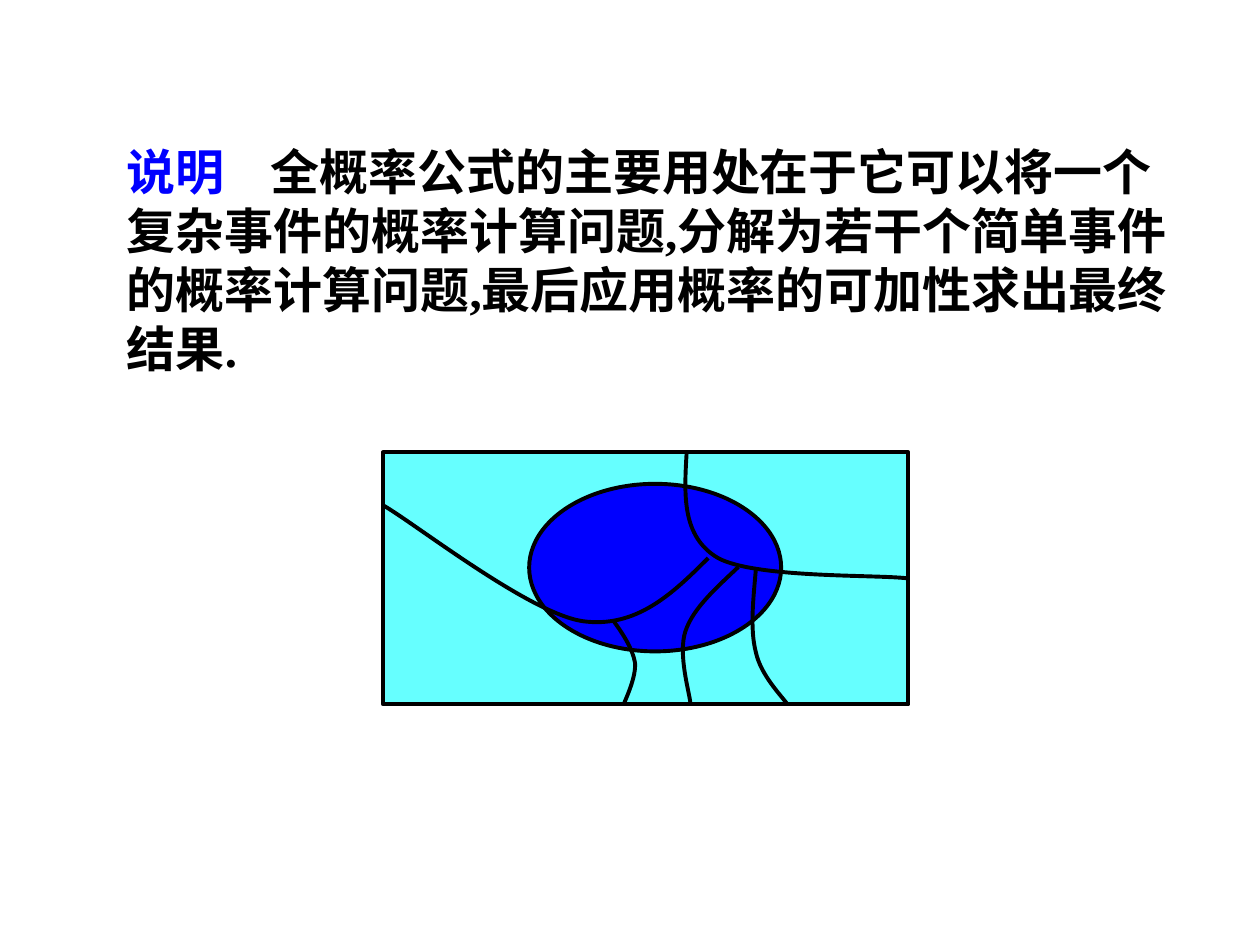
from pptx import Presentation
from pptx.dml.color import RGBColor
from pptx.enum.shapes import MSO_SHAPE as Preset
from pptx.oxml.ns import qn
from pptx.util import Inches, Pt
from lxml.etree import SubElement

BLACK = RGBColor(0, 0, 0)
BLUE = RGBColor(0, 0, 255)
CYAN = RGBColor(0x66, 0xFF, 0xFF)
LATIN, CHINESE = "Times New Roman", "Noto Sans CJK SC"

REMARK = [
    ("说明\t", LATIN, BLUE),
    ("全概率公式的主要用处在于它可以将一个复杂事件的概率计算问题", CHINESE, BLACK),
    (",", LATIN, BLACK),
    ("分解为若干个简单事件的概率计算问题", CHINESE, BLACK),
    (",", LATIN, BLACK),
    ("最后应用概率的可加性求出最终结果", CHINESE, BLACK),
    (".", LATIN, BLACK),
]

# Partition curves, relative to the sample space: a start, then Bezier triples
PARTITION_CURVES = [
    [(2.41, 0), (2.39, 0.34), (2.37, 0.67), (2.66, 0.84),
     (2.96, 1), (3.91, 0.97), (4.16, 1)],
    [(2.58, 0.84), (2.3, 1.12), (2.01, 1.4), (1.58, 1.34),
     (1.15, 1.27), (0.26, 0.57), (0, 0.42)],
    [(1.83, 1.34), (1.91, 1.45), (1.98, 1.56), (2, 1.67),
     (2.01, 1.78), (1.93, 1.95), (1.91, 2)],
    [(2.96, 0.92), (2.94, 1.16), (2.91, 1.4), (2.96, 1.59),
     (3, 1.77), (3.16, 1.93), (3.21, 2)],
    [(2.82, 0.91), (2.64, 1.08), (2.46, 1.24), (2.4, 1.42),
     (2.34, 1.6), (2.43, 1.9), (2.44, 1.99)],
]


def add_remark(slide, left, top, width, height):
    box = slide.shapes.add_textbox(*map(Inches, (left, top, width, height)))
    box.text_frame.word_wrap = True
    paragraph = box.text_frame.paragraphs[0]
    paragraph.line_spacing = Pt(33.7)

    # Tab stop between the heading word and the remark
    properties = paragraph._p.get_or_add_pPr()
    tabs = SubElement(properties, qn("a:tabLst"))
    SubElement(tabs, qn("a:tab"), pos=str(Inches(1.14)), algn="l")

    for text, font_name, color in REMARK:
        run = paragraph.add_run()
        run.text = text
        formats = {"name": font_name, "size": Pt(28), "bold": True}
        for name, value in formats.items():
            setattr(run.font, name, value)
        run.font.color.rgb = color
        # East Asian glyphs take their own typeface
        SubElement(run.font._element, qn("a:ea"), typeface=CHINESE)


def style_shape(shape, fill=None):
    shape.shadow.inherit = False
    if fill is None:
        shape.fill.background()
    else:
        shape.fill.solid()
        shape.fill.fore_color.rgb = fill
    shape.line.color.rgb = BLACK
    shape.line.width = Pt(2.25)


def add_curve(shapes, points):
    """Freeform whose line segments are joined, by threes, into Beziers."""
    builder = shapes.build_freeform(*points[0])
    builder.add_line_segments(points[1:], close=False)
    shape = builder.convert_to_shape()
    outline = next(shape._element.iter(qn("a:path")))
    segments = outline.findall(qn("a:lnTo"))
    for start in range(0, len(segments), 3):
        bezier = SubElement(outline, qn("a:cubicBezTo"))
        for segment in segments[start:start + 3]:
            bezier.append(segment[0])
            outline.remove(segment)
    return shape


def add_partition_diagram(slide, left, top, width, height):
    shapes = slide.shapes.add_group_shape().shapes

    # Sample space and the event inside it
    for preset, x, y, w, h, fill in (
            (Preset.RECTANGLE, 0, 0, width, height, CYAN),
            (Preset.OVAL, 1.16, 0.25, 2, 1.33, BLUE)):
        shape = shapes.add_shape(
            preset, *map(Inches, (left + x, top + y, w, h)))
        style_shape(shape, fill)

    # Curves that divide the sample space
    for curve in PARTITION_CURVES:
        points = [(Inches(left + x), Inches(top + y)) for x, y in curve]
        style_shape(add_curve(shapes, points))


def main():
    presentation = Presentation()
    presentation.slide_width = Inches(10)
    presentation.slide_height = Inches(7.5)
    slide = presentation.slides.add_slide(presentation.slide_layouts[6])
    add_remark(slide, 0.91, 1.07, 8.57, 1.97)
    add_partition_diagram(slide, 3.04, 3.59, 4.17, 2)
    presentation.save("out.pptx")


if __name__ == "__main__":
    main()
